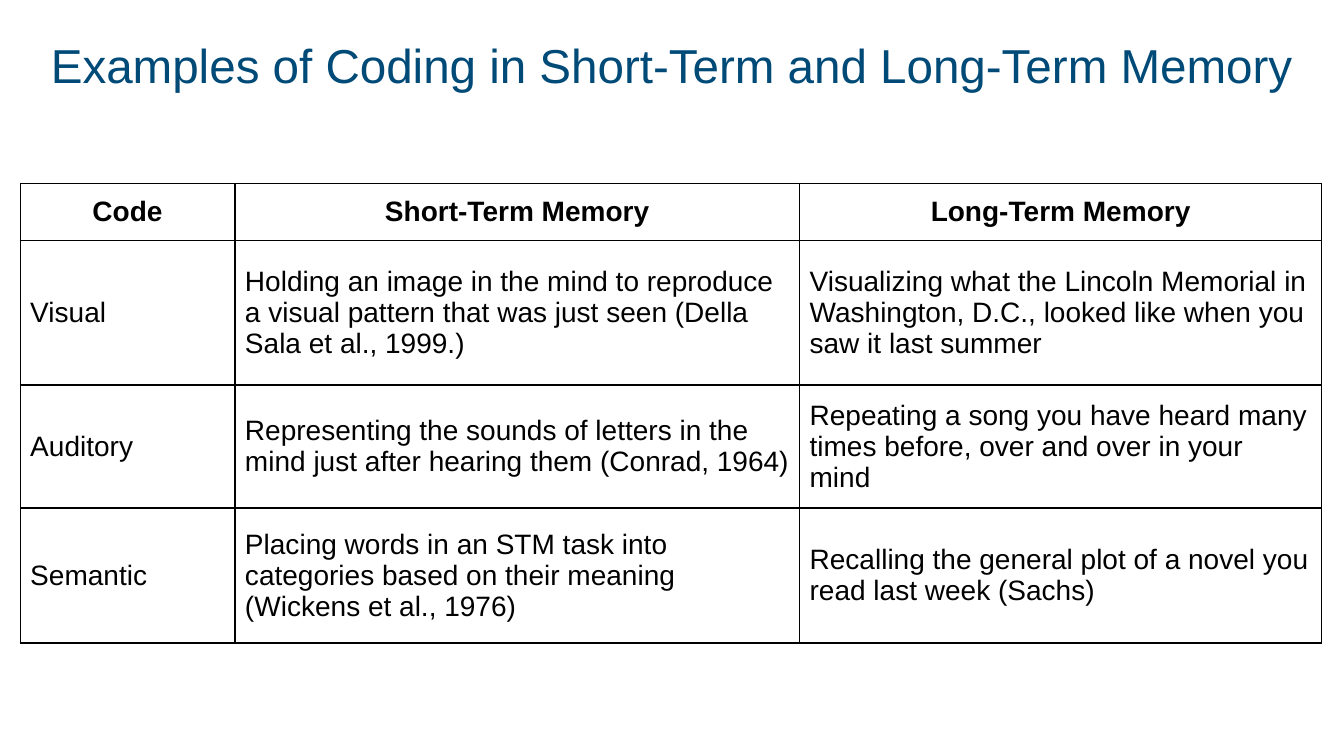
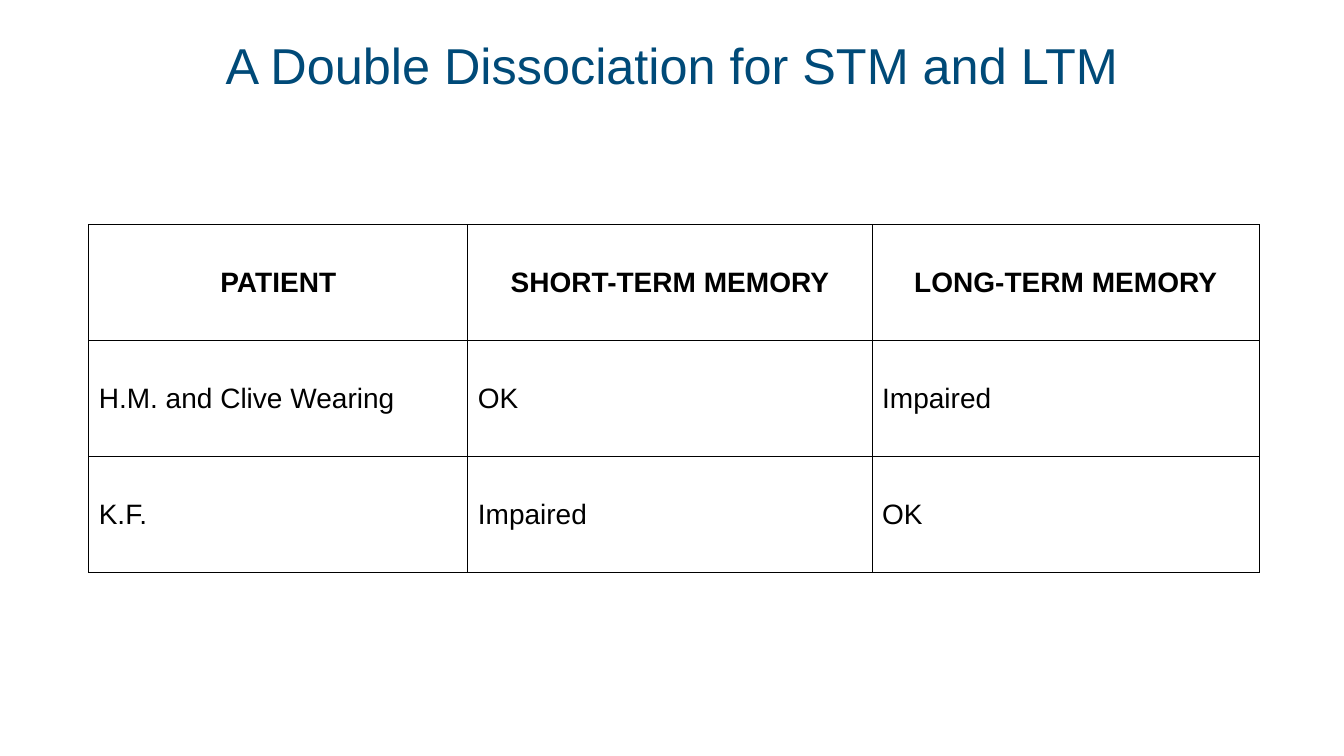
from lxml.etree import SubElement
from pptx import Presentation
from pptx.dml.color import RGBColor
from pptx.enum.text import MSO_ANCHOR as ANCHOR, PP_ALIGN as ALIGN
from pptx.oxml.ns import qn
from pptx.util import Inches, Pt

FONT = "Arial"
NAVY = RGBColor(0x00, 0x4A, 0x78)
BLACK = RGBColor(0x00, 0x00, 0x00)
WHITE = RGBColor(0xFF, 0xFF, 0xFF)
TITLE_BOX = (0.11, 0.14, 13.11, 1.08)

CODING_ROWS = [
    ("Code", "Short-Term Memory", "Long-Term Memory"),
    ("Visual",
     "Holding an image in the mind to reproduce a visual pattern that was just seen "
     "(Della Sala et al., 1999.)",
     "Visualizing what the Lincoln Memorial in Washington, D.C., looked like when you "
     "saw it last summer"),
    ("Auditory",
     "Representing the sounds of letters in the\n"
     "mind just after hearing them (Conrad, 1964)",
     "Repeating a song you have heard many times before, over and over in your mind"),
    ("Semantic",
     "Placing words in an STM task into categories based on their meaning "
     "(Wickens et al., 1976)",
     "Recalling the general plot of a novel you read last week (Sachs)"),
]
PATIENT_ROWS = [
    ("PATIENT", "SHORT-TERM MEMORY", "LONG-TERM MEMORY"),
    ("H.M. and Clive Wearing", "OK", "Impaired"),
    ("K.F.", "Impaired", "OK"),
]


def write_text(tf, text, size, color, bold=False, align=ALIGN.LEFT, spacing=1.0):
    """Fill a text frame, one paragraph per line of text."""
    tf.word_wrap = True
    for i, line in enumerate(text.split("\n")):
        p = tf.paragraphs[0] if i == 0 else tf.add_paragraph()
        p.alignment, p.line_spacing = align, spacing
        r = p.add_run()
        r.text = line
        r.font.name, r.font.size, r.font.bold = FONT, Pt(size), bold
        r.font.color.rgb = color


def add_title(s, text, size, box=TITLE_BOX):
    """Place the centred slide title in its box."""
    tf = s.shapes.add_textbox(*map(Inches, box)).text_frame
    tf.margin_left = tf.margin_right = tf.margin_top = tf.margin_bottom = 0
    tf.vertical_anchor = ANCHOR.MIDDLE
    write_text(tf, text, size, NAVY, align=ALIGN.CENTER, spacing=0.9)


def add_borders(cell, color=BLACK, width=1):
    """Draw a solid line on all four sides of a cell."""
    tc_pr = cell._tc.get_or_add_tcPr()
    for i, side in enumerate(("a:lnL", "a:lnR", "a:lnT", "a:lnB")):
        ln = SubElement(tc_pr, qn(side), w=str(Pt(width)))
        SubElement(SubElement(ln, qn("a:solidFill")), qn("a:srgbClr"), val=str(color))
        tc_pr.insert(i, ln)


def add_grid(s, left, top, widths, heights, rows):
    """Place a ruled table with a bold, centred header row."""
    box = map(Inches, (left, top, sum(widths), sum(heights)))
    table = s.shapes.add_table(len(heights), len(widths), *box).table
    table.horz_banding = False
    for column, width in zip(table.columns, widths):
        column.width = Inches(width)
    for i, (height, texts) in enumerate(zip(heights, rows)):
        table.rows[i].height = Inches(height)
        header = i == 0
        for j, text in enumerate(texts):
            cell = table.cell(i, j)
            cell.fill.background()
            cell.vertical_anchor = ANCHOR.MIDDLE
            add_borders(cell)
            write_text(cell.text_frame, text, 20, BLACK, bold=header,
                       align=ALIGN.CENTER if header else ALIGN.LEFT)


def add_table_slide(prs, title, size, **grid):
    """Add a white slide with a title and one table."""
    s = prs.slides.add_slide(prs.slide_layouts[6])
    s.background.fill.solid()
    s.background.fill.fore_color.rgb = WHITE
    add_title(s, title, size)
    add_grid(s, **grid)


def main():
    """Build and save the presentation."""
    prs = Presentation()
    prs.slide_width, prs.slide_height = Inches(13.33), Inches(7.5)
    add_table_slide(prs, "Examples of Coding in Short-Term and Long-Term Memory", 34,
                    left=0.2, top=1.82, widths=(2.13, 5.6, 5.18),
                    heights=(0.57, 1.43, 1.22, 1.34), rows=CODING_ROWS)
    add_table_slide(prs, "A Double Dissociation for STM and LTM", 36,
                    left=0.88, top=2.23, widths=(3.76, 4.01, 3.84),
                    heights=(1.15,) * 3, rows=PATIENT_ROWS)
    prs.save("out.pptx")


if __name__ == "__main__":
    main()
